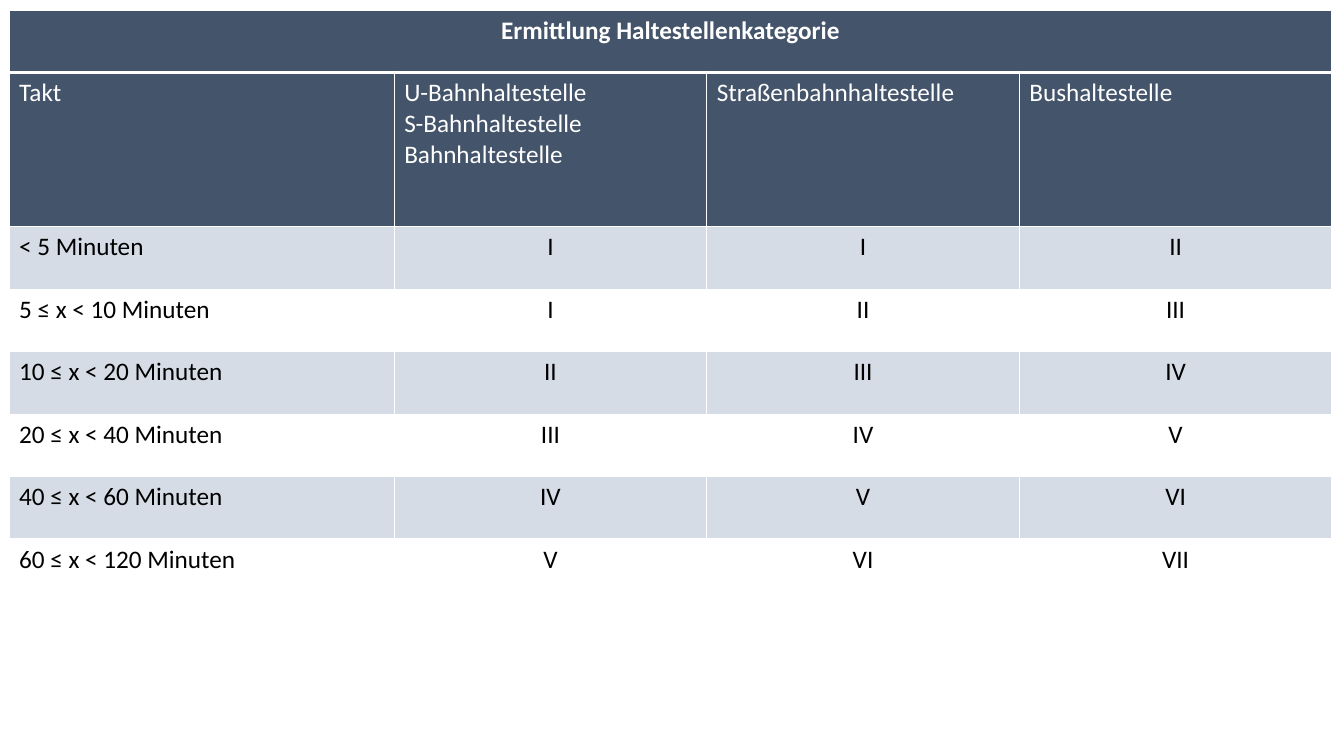
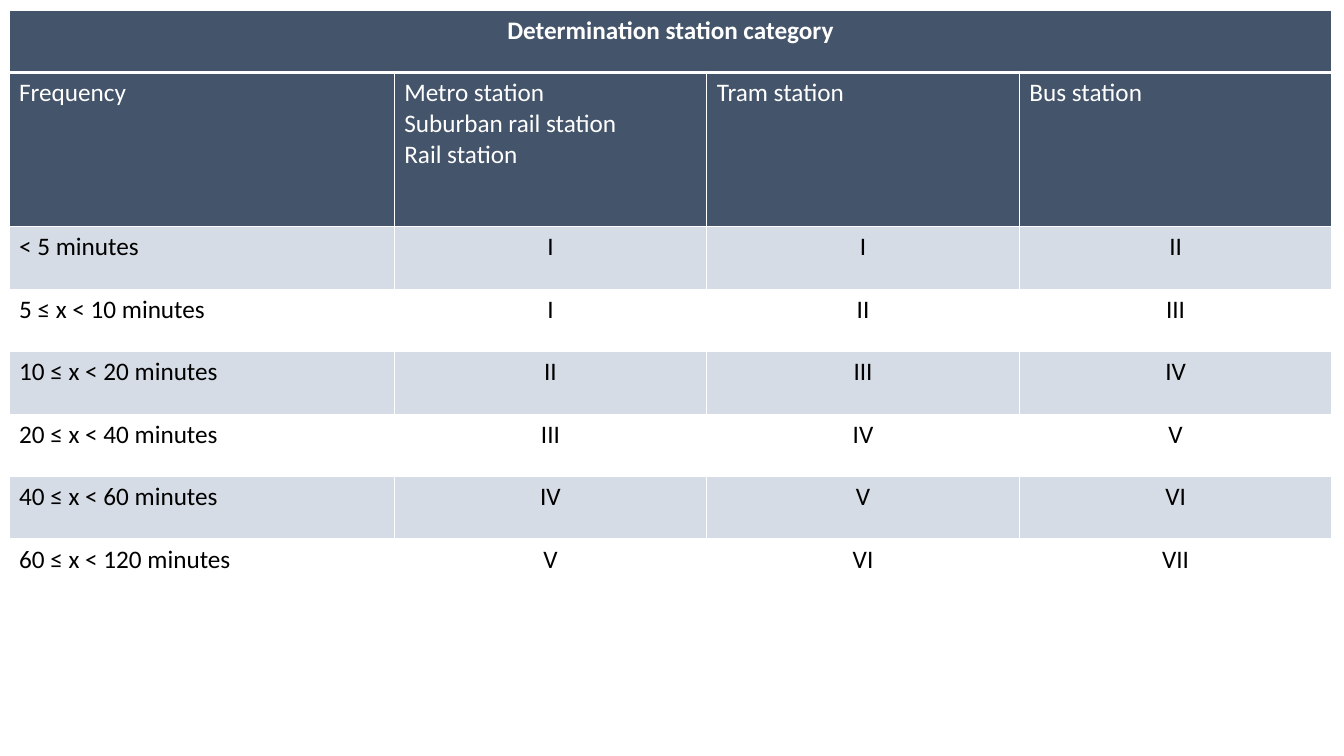
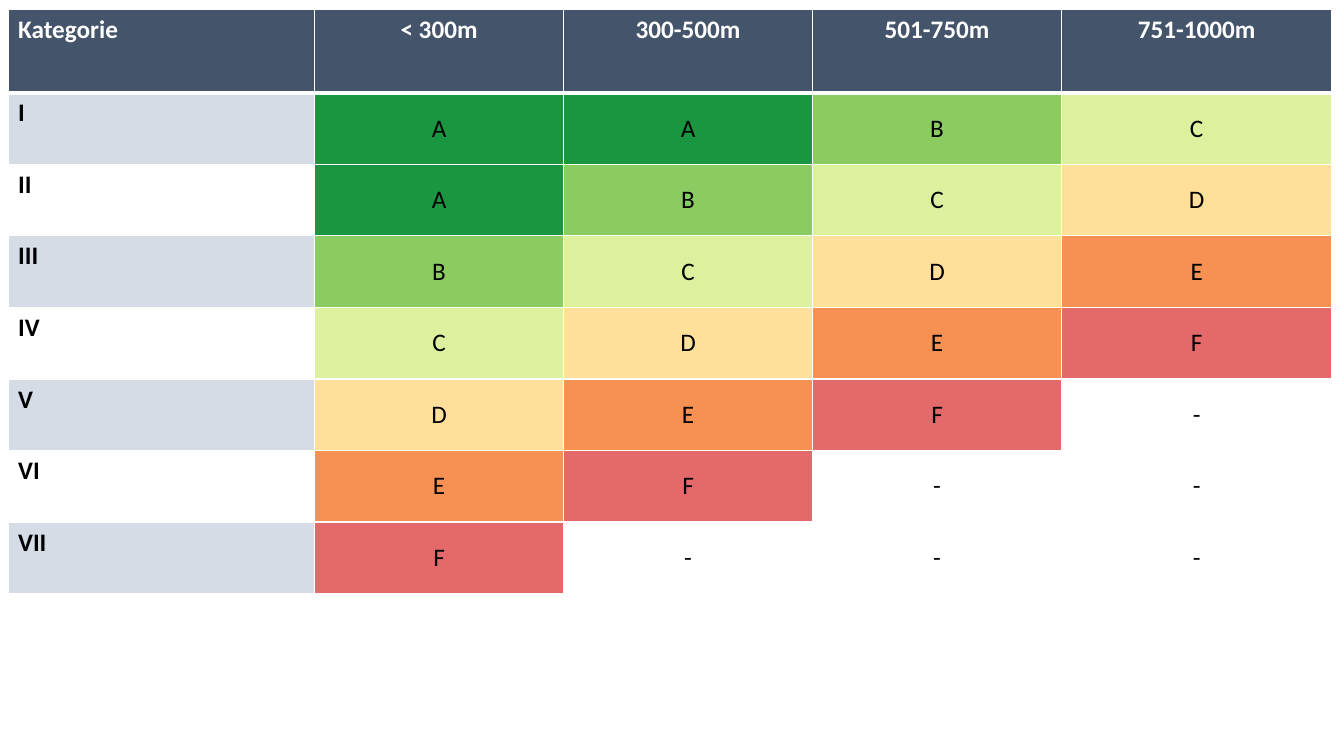
from dataclasses import dataclass

from lxml.etree import SubElement
from pptx import Presentation
from pptx.dml.color import RGBColor
from pptx.enum.text import MSO_ANCHOR, PP_ALIGN
from pptx.oxml.ns import qn
from pptx.util import Inches, Pt


@dataclass(frozen=True)
class Theme:
    font: str = "Calibri"
    size: int = 18
    header: str = "44546A"
    band: str = "D6DCE5"
    white: str = "FFFFFF"
    black: str = "000000"
    thin: int = 1
    thick: int = 3


THEME = Theme()
ROMANS = ("I", "II", "III", "IV", "V", "VI", "VII")
GRADES = ("A", "B", "C", "D", "E", "F")
GRADE_FILLS = {
    "A": ("1A9641", 100),
    "B": ("8ACC62", 100),
    "C": ("DCF09E", 100),
    "D": ("FFDF9A", 100),
    "E": ("F69053", 100),
    "F": ("D7191C", 65),
    "-": (THEME.white, 100),
}
INTERVALS = ("< 5", "5 ≤ x < 10", "10 ≤ x < 20", "20 ≤ x < 40", "40 ≤ x < 60", "60 ≤ x < 120")


def set_borders(cell, top, bottom):
    properties = cell._tc.get_or_add_tcPr()
    widths = {"lnL": THEME.thin, "lnR": THEME.thin, "lnT": top, "lnB": bottom}
    for side, width in widths.items():
        line = SubElement(properties, qn(f"a:{side}"), w=str(Pt(width)))
        fill = SubElement(line, qn("a:solidFill"))
        SubElement(fill, qn("a:srgbClr"), val=THEME.white)


def set_fill(cell, color, opacity=100):
    cell.fill.solid()
    cell.fill.fore_color.rgb = RGBColor.from_string(color)
    if opacity < 100:
        value = cell._tc.tcPr.find(f"{qn('a:solidFill')}/{qn('a:srgbClr')}")
        SubElement(value, qn("a:alpha"), val=str(opacity * 1000))


def write(cell, text, color=THEME.black, bold=False, centered=False):
    cell.text = text
    for para in cell.text_frame.paragraphs:
        para.alignment = PP_ALIGN.CENTER if centered else PP_ALIGN.LEFT
        para.font.name = THEME.font
        para.font.size = Pt(THEME.size)
        para.font.bold = bold
        para.font.color.rgb = RGBColor.from_string(color)


def band_color(index):
    return THEME.white if index % 2 else THEME.band


def add_grid(page, left, top, widths, heights):
    frame = page.shapes.add_table(
        len(heights), len(widths), Inches(left), Inches(top),
        Inches(sum(widths)), Inches(sum(heights)),
    )
    table = frame.table
    table.horz_banding = False
    for column, width in zip(table.columns, widths):
        column.width = Inches(width)
    for index, (row, height) in enumerate(zip(table.rows, heights)):
        row.height = Inches(height)
        for cell in row.cells:
            set_borders(
                cell,
                top=THEME.thick if index == 1 else THEME.thin,
                bottom=THEME.thick if index == 0 else THEME.thin,
            )
    return table


def add_category_table(page, left, top, title, headings, unit):
    table = add_grid(page, left, top, [3.82] + [3.1] * 3, [0.62, 1.53] + [0.62] * 6)
    for column, heading in enumerate(headings):
        set_fill(table.cell(0, column), THEME.header)
        set_fill(table.cell(1, column), THEME.header)
        write(table.cell(1, column), heading, THEME.white)
    table.cell(0, 0).merge(table.cell(0, 3))
    write(table.cell(0, 0), title, THEME.white, bold=True, centered=True)

    for index, interval in enumerate(INTERVALS):
        categories = [ROMANS[max(0, index + step - 1)] for step in range(3)]
        for column, text in enumerate([f"{interval} {unit}"] + categories):
            cell = table.cell(index + 2, column)
            set_fill(cell, band_color(index))
            write(cell, text, centered=column > 0)


def add_grade_table(page, left, top, headings):
    table = add_grid(page, left, top, [3.04] + [2.47] * 3 + [2.68], [0.83] + [0.71] * 7)
    for column, heading in enumerate(headings):
        cell = table.cell(0, column)
        set_fill(cell, THEME.header)
        write(cell, heading, THEME.white, bold=True, centered=column > 0)

    for index, category in enumerate(ROMANS):
        label = table.cell(index + 1, 0)
        set_fill(label, band_color(index))
        write(label, category, bold=True)
        for step in range(len(headings) - 1):
            rank = max(0, index + step - 1)
            grade = GRADES[rank] if rank < len(GRADES) else "-"
            cell = table.cell(index + 1, step + 1)
            set_fill(cell, *GRADE_FILLS[grade])
            write(cell, grade, centered=True)
            cell.vertical_anchor = MSO_ANCHOR.MIDDLE


def main():
    deck = Presentation()
    deck.slide_width = Inches(13.33)
    deck.slide_height = Inches(7.5)
    german, english, grades = [deck.slides.add_slide(deck.slide_layouts[6]) for _ in range(3)]

    add_category_table(
        german, 0.09, 0.1, "Ermittlung Haltestellenkategorie",
        ["Takt", "U-Bahnhaltestelle\nS-Bahnhaltestelle\nBahnhaltestelle",
         "Straßenbahnhaltestelle", "Bushaltestelle"],
        "Minuten",
    )
    add_category_table(
        english, 0.09, 0.1, "Determination station category",
        ["Frequency", "Metro station\nSuburban rail station\nRail station",
         "Tram station", "Bus station"],
        "minutes",
    )
    add_grade_table(
        grades, 0.08, 0.09, ["Kategorie", "< 300m", "300-500m", "501-750m", "751-1000m"],
    )
    deck.save("out.pptx")


if __name__ == "__main__":
    main()
